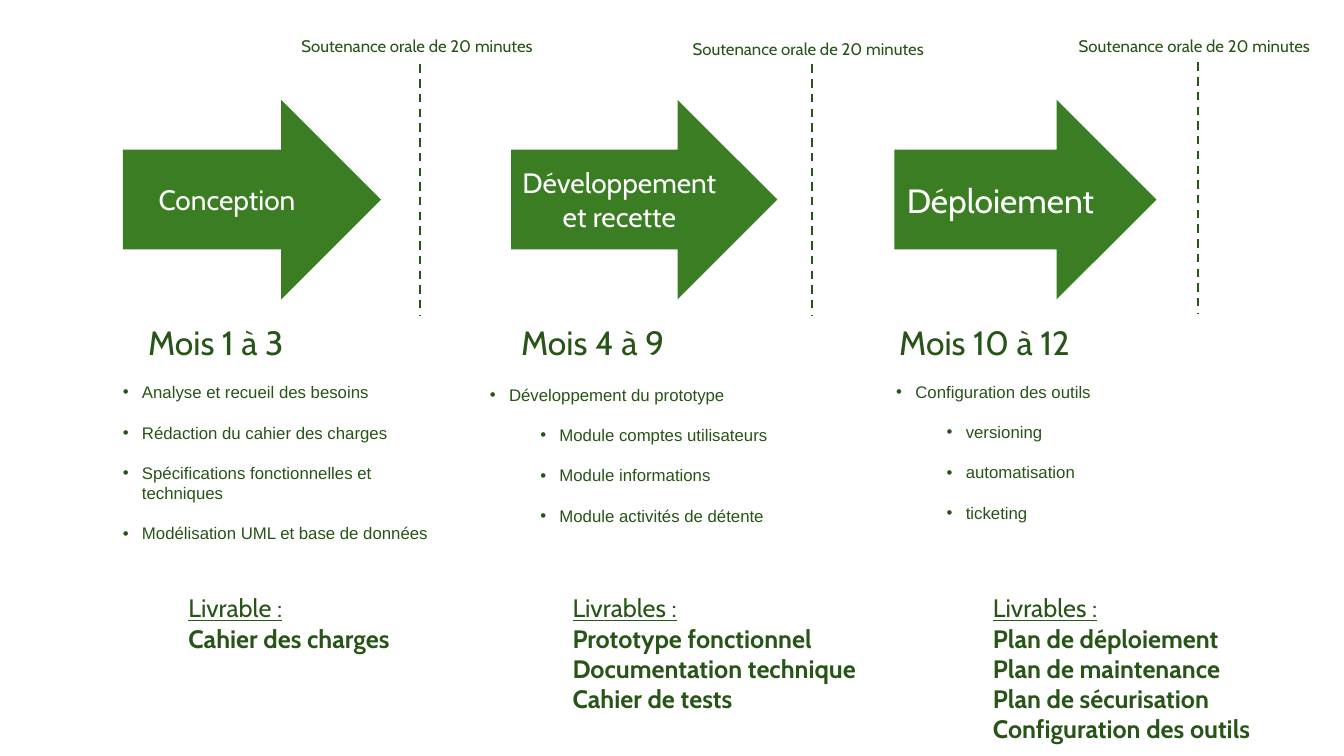
"""Draw the three project phases with their tasks, defences and deliverables."""
import pptx
import pptx.util
import pptx.dml.color
import pptx.enum.dml
import pptx.enum.shapes
import pptx.enum.text
import pptx.oxml.ns
from lxml import etree

Inches = pptx.util.Inches
Pt = pptx.util.Pt
RGBColor = pptx.dml.color.RGBColor
Anchor = pptx.enum.text.MSO_ANCHOR
Align = pptx.enum.text.PP_ALIGN
qn = pptx.oxml.ns.qn

GREEN = RGBColor(0x3B, 0x7D, 0x23)
DARK = RGBColor(0x27, 0x54, 0x17)
WHITE = RGBColor(0xFF, 0xFF, 0xFF)

PHASES = [
    {
        "arrow": ("Conception", 20, 1.22, 2.56),
        "months": ("Mois 1 à 3", 1.37, 1.64),
        "tasks": (1.12, 3.73, 3.47, 1.72, [
            (0, "Analyse et recueil des besoins"),
            (0, "Rédaction du cahier des charges"),
            (0, "Spécifications fonctionnelles et techniques"),
            (0, "Modélisation UML et base de données")]),
        "defence": (4.17, 0.31, 0.64),
        "goods": (1.77, 2.39, ["Livrable :", "Cahier des charges"]),
    },
    {
        "arrow": ("Développement et recette", 20, 5.07, 2.64),
        "months": ("Mois 4 à 9", 5.07, 1.64),
        "tasks": (4.76, 3.76, 3.25, 1.51, [
            (0, "Développement du prototype"),
            (1, "Module comptes utilisateurs"),
            (1, "Module informations"),
            (1, "Module activités de détente")]),
        "defence": (8.05, 0.34, 0.64),
        "goods": (5.58, 3.21, [
            "Livrables :", "Prototype fonctionnel",
            "Documentation technique", "Cahier de tests"]),
    },
    {
        "arrow": ("Déploiement", 24, 8.87, 2.6),
        "months": ("Mois 10 à 12", 8.82, 1.99),
        "tasks": (8.79, 3.73, 2.29, 1.51, [
            (0, "Configuration des outils"),
            (1, "versioning"),
            (1, "automatisation"),
            (1, "ticketing")]),
        "defence": (11.88, 0.31, 0.62),
        "goods": (9.75, 2.95, [
            "Livrables :", "Plan de déploiement", "Plan de maintenance",
            "Plan de sécurisation", "Configuration des outils"]),
    },
]


class Board:
    def __init__(self, slide):
        self.shapes = slide.shapes
        self.font = "Cabin"
        self.list_font = "Arial"

    def style(self, para, size, color=DARK, name=None):
        for run in para.runs:
            run.font.size = Pt(size)
            run.font.name = name or self.font
            run.font.color.rgb = color

    def arrow(self, text, size, left, width):
        shape = self.shapes.add_shape(
            pptx.enum.shapes.MSO_SHAPE.RIGHT_ARROW,
            Inches(left), Inches(0.99), Inches(width), Inches(1.98))
        shape.shadow.inherit = False
        shape.fill.solid()
        shape.fill.fore_color.rgb = GREEN
        shape.line.fill.background()
        frame = shape.text_frame
        frame.text = text
        frame.word_wrap = True
        frame.vertical_anchor = Anchor.MIDDLE
        frame.paragraphs[0].alignment = Align.CENTER
        self.style(frame.paragraphs[0], size, WHITE)

    def label(self, lines, size, left, top, width, height):
        box = self.shapes.add_textbox(
            Inches(left), Inches(top), Inches(width), Inches(height))
        frame = box.text_frame
        frame.text = "\n".join(lines)
        frame.word_wrap = False
        frame.auto_size = pptx.enum.text.MSO_AUTO_SIZE.SHAPE_TO_FIT_TEXT
        for para in frame.paragraphs:
            self.style(para, size)
        return frame

    def months(self, text, left, width):
        self.label([text], 24, left, 3.14, width, 0.5)

    def tasks(self, left, top, width, height, items):
        box = self.shapes.add_textbox(
            Inches(left), Inches(top), Inches(width), Inches(height))
        frame = box.text_frame
        frame.text = "\n".join(text for level, text in items)
        frame.word_wrap = True
        frame.vertical_anchor = Anchor.MIDDLE
        for num, (para, (level, text)) in enumerate(zip(frame.paragraphs, items)):
            props = para._p.get_or_add_pPr()
            props.set("marL", str(Inches(0.19 + 0.5 * level)))
            props.set("indent", str(Inches(-0.19)))
            etree.SubElement(props, qn("a:buFont"), typeface=self.list_font)
            etree.SubElement(props, qn("a:buChar"), char="•")
            para.level = level
            para.line_spacing = Pt(14.4)
            if num:
                para.space_before = Pt(14.4)
            self.style(para, 12, name=self.list_font)

    def defence(self, mid, top, start):
        self.label(["Soutenance orale de 20 minutes"], 12,
                   mid - 1.28, top, 2.55, 0.3)
        line = self.shapes.add_connector(
            pptx.enum.shapes.MSO_CONNECTOR.STRAIGHT,
            Inches(mid), Inches(start), Inches(mid), Inches(start + 2.5))
        line.line.color.rgb = DARK
        line.line.width = Pt(1.5)
        line.line.dash_style = pptx.enum.dml.MSO_LINE.DASH
        etree.SubElement(line._element.spPr, qn("a:effectLst"))

    def goods(self, left, width, lines):
        frame = self.label(lines, 18, left, 5.83, width, 0.1 + 0.3 * len(lines))
        head, *rest = frame.paragraphs
        head.runs[0].font.underline = True
        for para in rest:
            para.runs[0].font.bold = True


def main():
    deck = pptx.Presentation()
    deck.slide_width = Inches(13.33)
    deck.slide_height = Inches(7.5)
    board = Board(deck.slides.add_slide(deck.slide_layouts[6]))
    for phase in PHASES:
        board.arrow(*phase["arrow"])
        board.months(*phase["months"])
        board.tasks(*phase["tasks"])
        board.defence(*phase["defence"])
        board.goods(*phase["goods"])
    deck.save("out.pptx")


if __name__ == "__main__":
    main()
